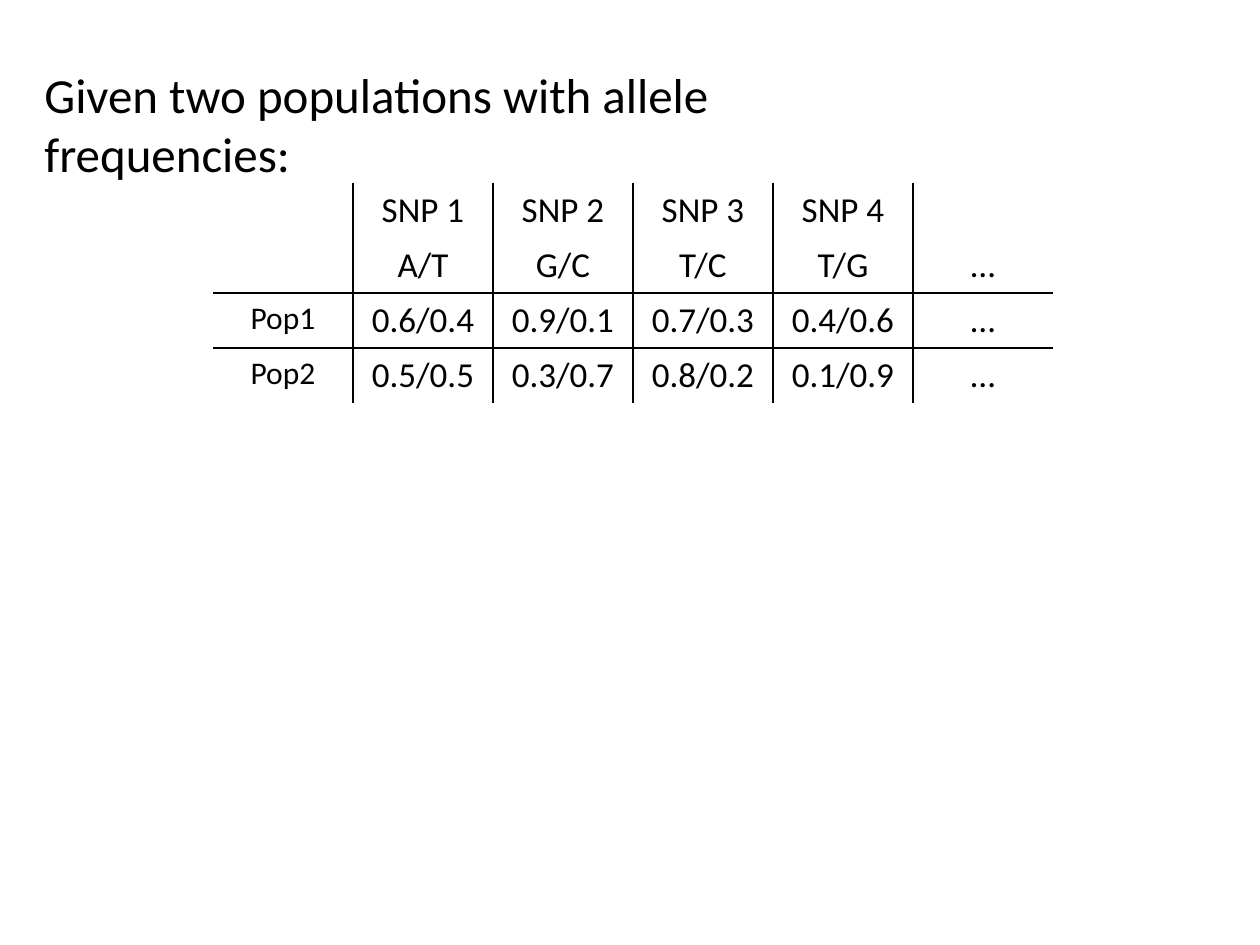
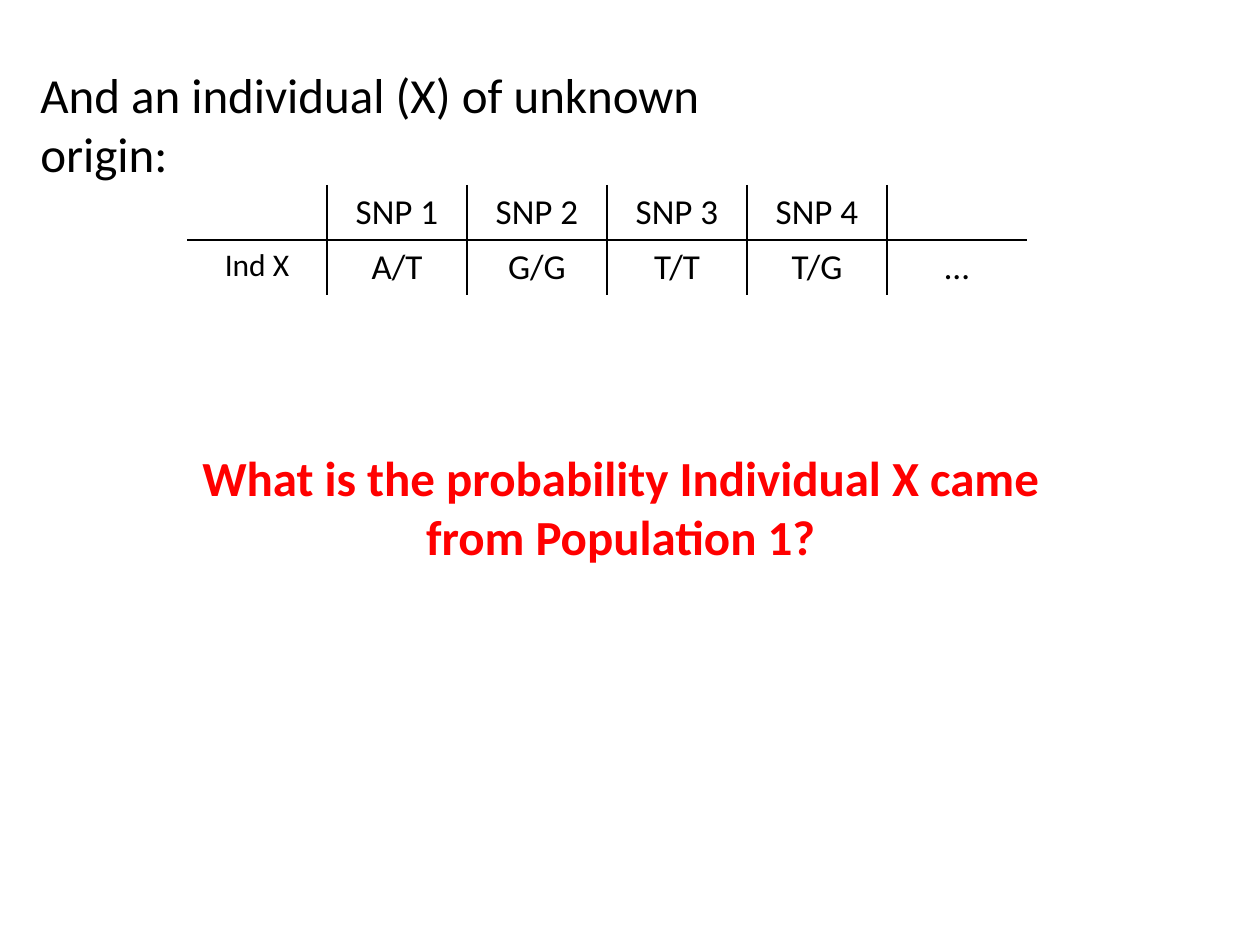
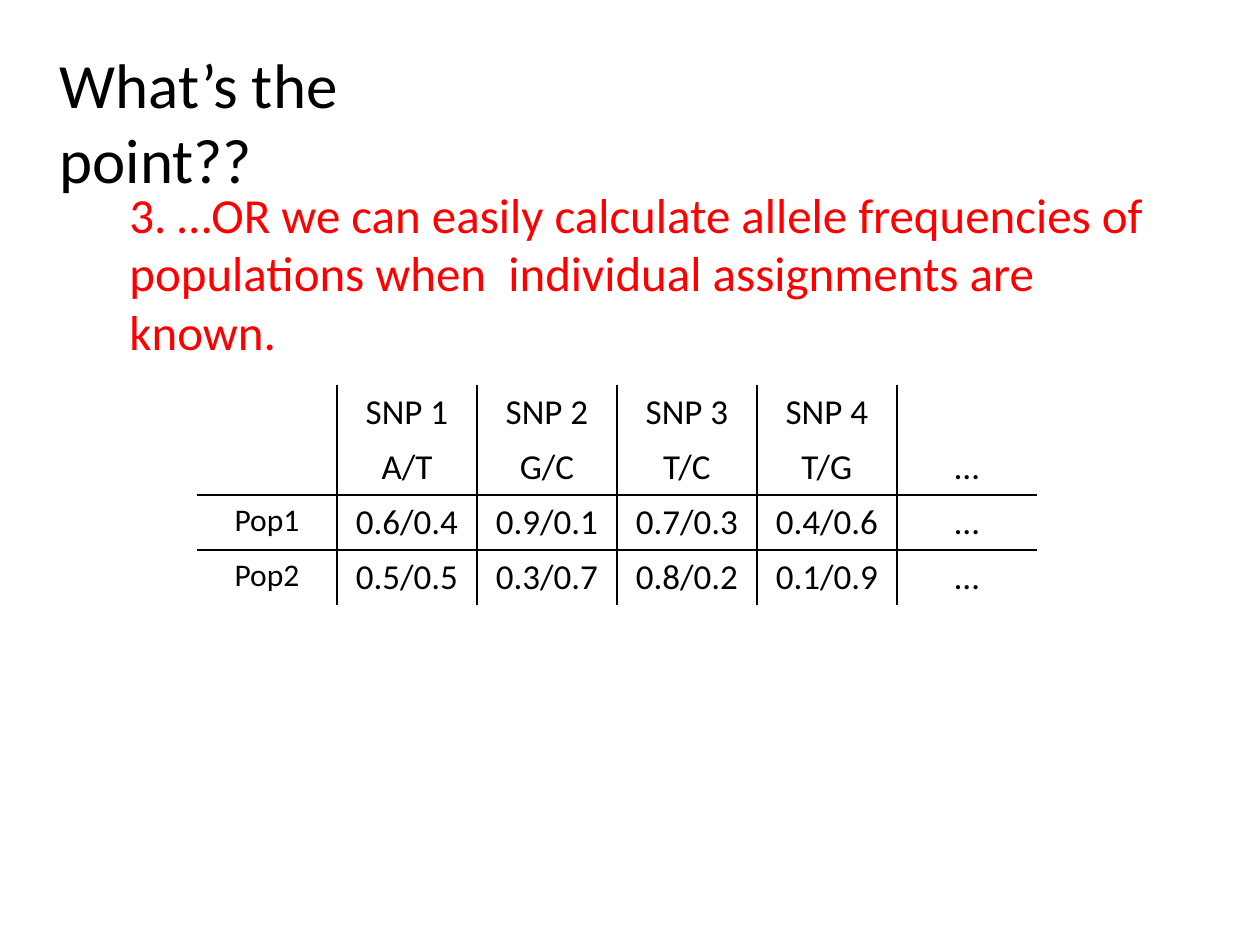
from lxml import etree
from pptx import Presentation, util as u
from pptx.dml.color import RGBColor
from pptx.enum import text
from pptx.oxml.ns import qn

SCALE = 914400 / 126
BLACK, RED = "000000", "FF0000"
COL, ROW = 140, 55


def px(*nums):
    return [u.Emu(round(n * SCALE)) for n in nums]


def write(frame, words, size, hue=BLACK, bold=False, align=text.PP_ALIGN.LEFT):
    para = frame.paragraphs[0]
    para.text, para.alignment = words, align
    form = {"name": "Calibri", "size": u.Pt(size), "bold": bold}
    for key, val in form.items():
        setattr(para.font, key, val)
    para.font.color.rgb = RGBColor.from_string(hue)


snps = ["", "SNP 1", "SNP 2", "SNP 3", "SNP 4", ""]
freqs = [
    snps,
    ["", "A/T", "G/C", "T/C", "T/G", "…"],
    ["Pop1", "0.6/0.4", "0.9/0.1", "0.7/0.3", "0.4/0.6", "…"],
    ["Pop2", "0.5/0.5", "0.3/0.7", "0.8/0.2", "0.1/0.9", "…"],
]
person = [snps, ["Ind X", "A/T", "G/G", "T/T", "T/G", "…"]]

# Each slide: text boxes (place, words, format), then table place, rows, header row count
slides = [
    (
        [((32, 58, 940, 72), "Given two populations with allele frequencies:", {"size": 28})],
        (213, 183), freqs, 2,
    ),
    (
        [
            ((28, 58, 815, 72), "And an individual (X) of unknown origin:", {"size": 28}),
            ((156, 441, 929, 131),
             "What is the probability Individual X came from Population 1?",
             {"size": 28, "hue": RED, "bold": True, "align": text.PP_ALIGN.CENTER}),
        ],
        (187, 185), person, 1,
    ),
    (
        [
            ((47, 39, 510, 89), "What’s the point??", {"size": 36}),
            ((117, 178, 1063, 190),
             "3. …OR we can easily calculate allele frequencies of populations "
             "when  individual assignments are known.",
             {"size": 28, "hue": RED}),
        ],
        (197, 385), freqs, 2,
    ),
]

prs = Presentation()
prs.slide_width, prs.slide_height = px(1260, 945)

for boxes, spot, rows, heads in slides:
    slide = prs.slides.add_slide(prs.slide_layouts[6])
    for place, words, form in boxes:
        frame = slide.shapes.add_textbox(*px(*place)).text_frame
        frame.word_wrap = True
        write(frame, words, **form)

    high, wide = len(rows), len(snps)
    table = slide.shapes.add_table(
        high, wide, *px(*spot, wide * COL, high * ROW)).table
    table.first_row = table.horz_banding = False
    for col in table.columns:
        col.width = px(COL)[0]
    for r, row in enumerate(rows):
        table.rows[r].height = px(ROW)[0]
        for c, words in enumerate(row):
            cell = table.cell(r, c)
            size = 18 if c == 0 and r >= heads else 20
            write(cell.text_frame, words, size, align=text.PP_ALIGN.CENTER)
            edges = {
                "a:lnL": c > 0,
                "a:lnR": c < wide - 1,
                "a:lnT": r >= heads,
                "a:lnB": heads - 1 <= r < high - 1,
            }
            props = cell._tc.get_or_add_tcPr()
            for tag, shown in edges.items():
                line = etree.SubElement(props, qn(tag), w=str(u.Pt(1)))
                if shown:
                    fill = etree.SubElement(line, qn("a:solidFill"))
                    etree.SubElement(fill, qn("a:srgbClr"), val=BLACK)
                else:
                    etree.SubElement(line, qn("a:noFill"))
            cell.fill.background()

prs.save("out.pptx")
